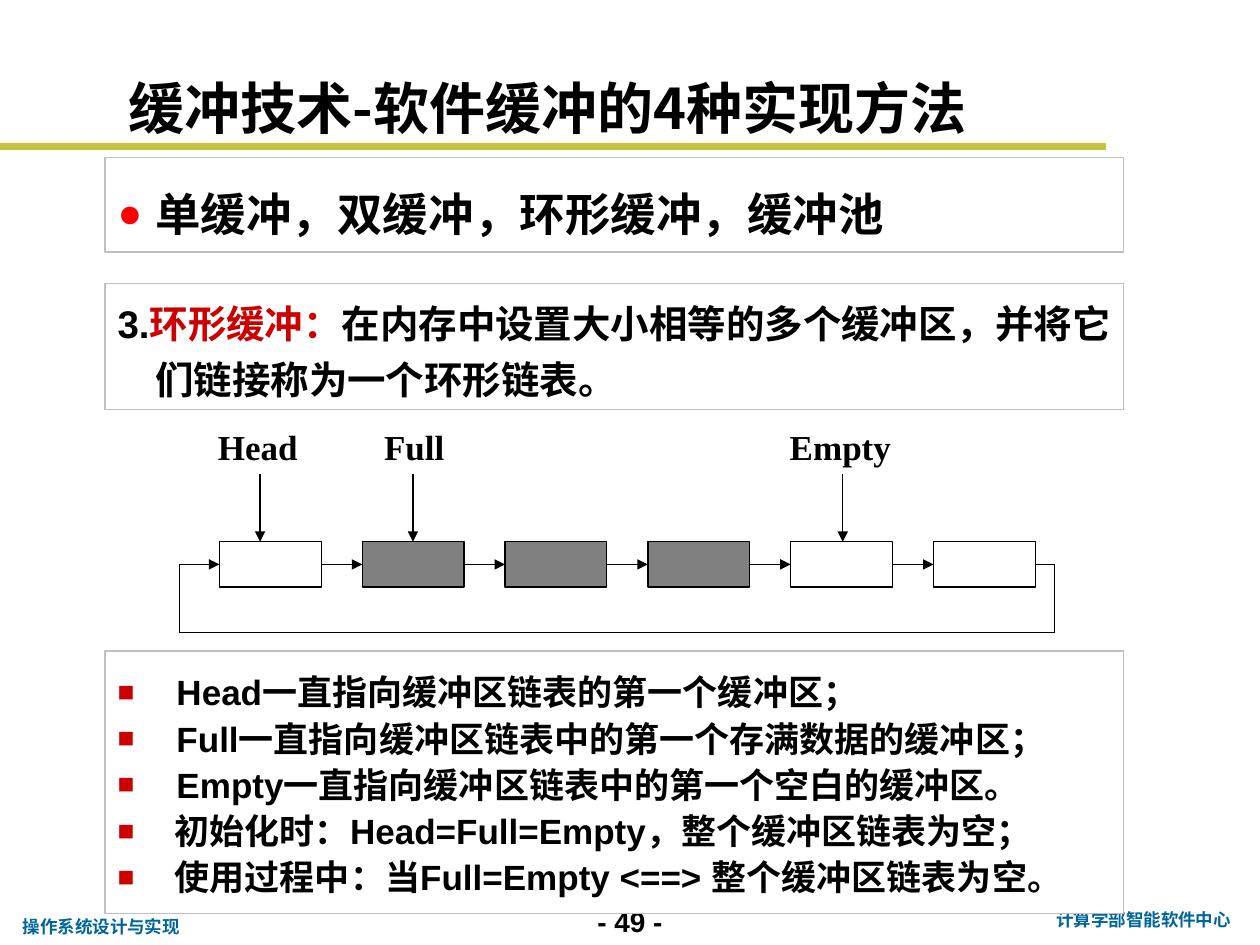
from itertools import pairwise

from lxml.etree import SubElement
from pptx import Presentation
from pptx.dml.color import RGBColor
from pptx.enum.shapes import MSO_CONNECTOR, MSO_SHAPE
from pptx.enum.text import MSO_ANCHOR, MSO_AUTO_SIZE, PP_ALIGN
from pptx.oxml.ns import qn
from pptx.util import Pt

COLORS = {"white": "FFFFFF", "black": "000000", "gray": "808080", "border": "C0C0C0",
          "red": "FF0000", "dark_red": "CC0000", "rule": "C1C43C", "footer": "006699"}
TITLE = "缓冲技术-软件缓冲的4种实现方法"

# Each paragraph is a list of (text, color) spans.
PANELS = [
    {"top": 90, "height": 54, "size": 26, "spacing": 1.3, "indent": 21.6,
     "bullet": ("●", "red", 90),
     "paragraphs": [[("单缓冲，双缓冲，环形缓冲，缓冲池", "black")]]},
    {"top": 162, "height": 72, "size": 22, "spacing": 1.2, "indent": 21.6, "bullet": None,
     "paragraphs": [[("3.", "black"), ("环形缓冲：", "dark_red"),
                     ("在内存中设置大小相等的多个缓冲区，并将它们链接称为一个环形链表。", "black")]]},
    {"top": 372, "height": 150, "size": 20, "spacing": 1.1, "indent": 28.1,
     "bullet": ("■", "dark_red", 80),
     "paragraphs": [[(text, "black")] for text in (
         " Head一直指向缓冲区链表的第一个缓冲区；",
         " Full一直指向缓冲区链表中的第一个存满数据的缓冲区；",
         " Empty一直指向缓冲区链表中的第一个空白的缓冲区。",
         " 初始化时：Head=Full=Empty，整个缓冲区链表为空；",
         " 使用过程中：当Full=Empty <==> 整个缓冲区链表为空。")]},
]
PANEL_LEFT, PANEL_WIDTH = 60, 582

# text, left, top, width, height, size, font, color, alignment
FOOTERS = [
    ("- 49 -", 324, 513.4, 72, 26.6, 16, "Arial", "black", PP_ALIGN.CENTER),
    ("计算学部智能软件中心", 594, 516.2, 119, 19.4, 10, "Roboto", "footer", PP_ALIGN.CENTER),
    ("操作系统设计与实现", 6, 519.8, 105, 19.4, 10, "Roboto", "footer", PP_ALIGN.LEFT),
]

BUFFERS = ["white", "gray", "gray", "gray", "white", "white"]
BUFFER_LEFT, BUFFER_TOP, BUFFER_WIDTH, BUFFER_HEIGHT, PITCH = 125.4, 309.6, 58.2, 25.9, 81.6
# label, left, width, arrow x
POINTERS = [("Head", 117.4, 78.5, 148.6), ("Full", 212.4, 58.3, 236), ("Empty", 444.2, 93.6, 481.6)]
LABEL_TOP, LABEL_HEIGHT, ARROW_TOP = 239.8, 38.9, 270.8
LOOP_LEFT, LOOP_RIGHT, LOOP_BOTTOM = 102.4, 602.7, 361.5


def rgb(name):
    return RGBColor.from_string(COLORS[name])


def place(shape, left, top, width, height):
    shape.left, shape.top, shape.width, shape.height = map(Pt, (left, top, width, height))


def style(span, size, font, color):
    span.font.size, span.font.name, span.font.bold = Pt(size), font, True
    span.font.color.rgb = rgb(color)


def paint(shape, fill, line):
    shape.fill.solid()
    shape.fill.fore_color.rgb = rgb(fill)
    shape.line.color.rgb = rgb(line)
    shape.line.width = Pt(0.75)


def add_line(page, start, end, color="black", width=0.75, arrow=False):
    line = page.shapes.add_connector(MSO_CONNECTOR.STRAIGHT, *map(Pt, (*start, *end)))
    line.line.color.rgb = rgb(color)
    line.line.width = Pt(width)
    if arrow:
        SubElement(line.line._get_or_add_ln(), qn("a:tailEnd"), type="triangle")
    SubElement(line._element.spPr, qn("a:effectLst"))
    return line


def add_label(page, text, bounds, size, font, color, alignment, wrap=True):
    box = page.shapes.add_textbox(*map(Pt, bounds))
    box.text_frame.word_wrap = wrap
    box.text_frame.text = text
    paragraph = box.text_frame.paragraphs[0]
    paragraph.alignment = alignment
    style(paragraph.runs[0], size, font, color)
    return box


def set_bullet(paragraph, indent, bullet):
    """Set a hanging indent and a bullet of (character, color, percent), or none."""
    properties = paragraph._p.get_or_add_pPr()
    properties.set("marL", str(Pt(indent)))
    properties.set("indent", str(-Pt(indent)))
    if bullet is None:
        SubElement(properties, qn("a:buNone"))
        return
    character, color, percent = bullet
    SubElement(SubElement(properties, qn("a:buClr")), qn("a:srgbClr"), val=COLORS[color])
    SubElement(properties, qn("a:buSzPct"), val=str(percent * 1000))
    SubElement(properties, qn("a:buFont"), typeface="Arial")
    SubElement(properties, qn("a:buChar"), char=character)


def fill_panel(box, panel):
    place(box, PANEL_LEFT, panel["top"], PANEL_WIDTH, panel["height"])
    paint(box, "white", "border")
    frame = box.text_frame
    frame.auto_size = MSO_AUTO_SIZE.NONE
    frame.vertical_anchor = MSO_ANCHOR.MIDDLE
    for index, spans in enumerate(panel["paragraphs"]):
        paragraph = frame.add_paragraph() if index else frame.paragraphs[0]
        paragraph.line_spacing = panel["spacing"]
        paragraph.space_before = Pt(0)
        set_bullet(paragraph, panel["indent"], panel["bullet"])
        for text, color in spans:
            span = paragraph.add_run()
            span.text = text
            style(span, panel["size"], "Arial", color)


def fill_title(title):
    place(title, 66, 39, 564, 45)
    frame = title.text_frame
    frame.text = TITLE
    frame.auto_size = MSO_AUTO_SIZE.NONE
    frame.vertical_anchor = MSO_ANCHOR.BOTTOM
    paragraph = frame.paragraphs[0]
    paragraph.alignment = PP_ALIGN.LEFT
    span = paragraph.runs[0]
    style(span, 32, "Noto Sans CJK SC", "black")
    SubElement(span._r.get_or_add_rPr(), qn("a:ea"), typeface="Noto Sans CJK SC")


def add_background(page):
    """Add the rule and the footers behind the panels."""
    items = [add_line(page, (0, 84), (632, 84), "rule", 4)]
    for text, left, top, width, height, *look in FOOTERS:
        wrap = look[-1] == PP_ALIGN.CENTER
        items.append(add_label(page, text, (left, top, width, height), *look, wrap=wrap))
    for item in items:
        item._element.getparent().insert(2, item._element)


def add_ring(page):
    middle = BUFFER_TOP + BUFFER_HEIGHT / 2
    lefts = [BUFFER_LEFT + index * PITCH for index in range(len(BUFFERS))]
    for left, color in zip(lefts, BUFFERS):
        buffer = page.shapes.add_shape(
            MSO_SHAPE.RECTANGLE, *map(Pt, (left, BUFFER_TOP, BUFFER_WIDTH, BUFFER_HEIGHT)))
        buffer.shadow.inherit = False
        paint(buffer, color, "black")
    for left, following in pairwise(lefts):
        add_line(page, (left + BUFFER_WIDTH, middle), (following, middle), arrow=True)
    corners = [(lefts[-1] + BUFFER_WIDTH, middle), (LOOP_RIGHT, middle),
               (LOOP_RIGHT, LOOP_BOTTOM), (LOOP_LEFT, LOOP_BOTTOM),
               (LOOP_LEFT, middle), (BUFFER_LEFT, middle)]
    for start, end in pairwise(corners):
        add_line(page, start, end, arrow=end == corners[-1])
    for text, left, width, x in POINTERS:
        add_label(page, text, (left, LABEL_TOP, width, LABEL_HEIGHT),
                  20, "Times New Roman", "black", PP_ALIGN.JUSTIFY)
        add_line(page, (x, ARROW_TOP), (x, BUFFER_TOP), arrow=True)


def main():
    deck = Presentation()
    deck.slide_width, deck.slide_height = Pt(720), Pt(540)
    page = deck.slides.add_slide(deck.slide_layouts.get_by_name("Comparison"))
    fill_title(page.shapes.title)
    *bodies, spare = list(page.placeholders)[1:]
    for box, panel in zip(bodies, PANELS):
        fill_panel(box, panel)
    spare._element.getparent().remove(spare._element)
    add_background(page)
    add_ring(page)
    deck.save("out.pptx")


if __name__ == "__main__":
    main()
